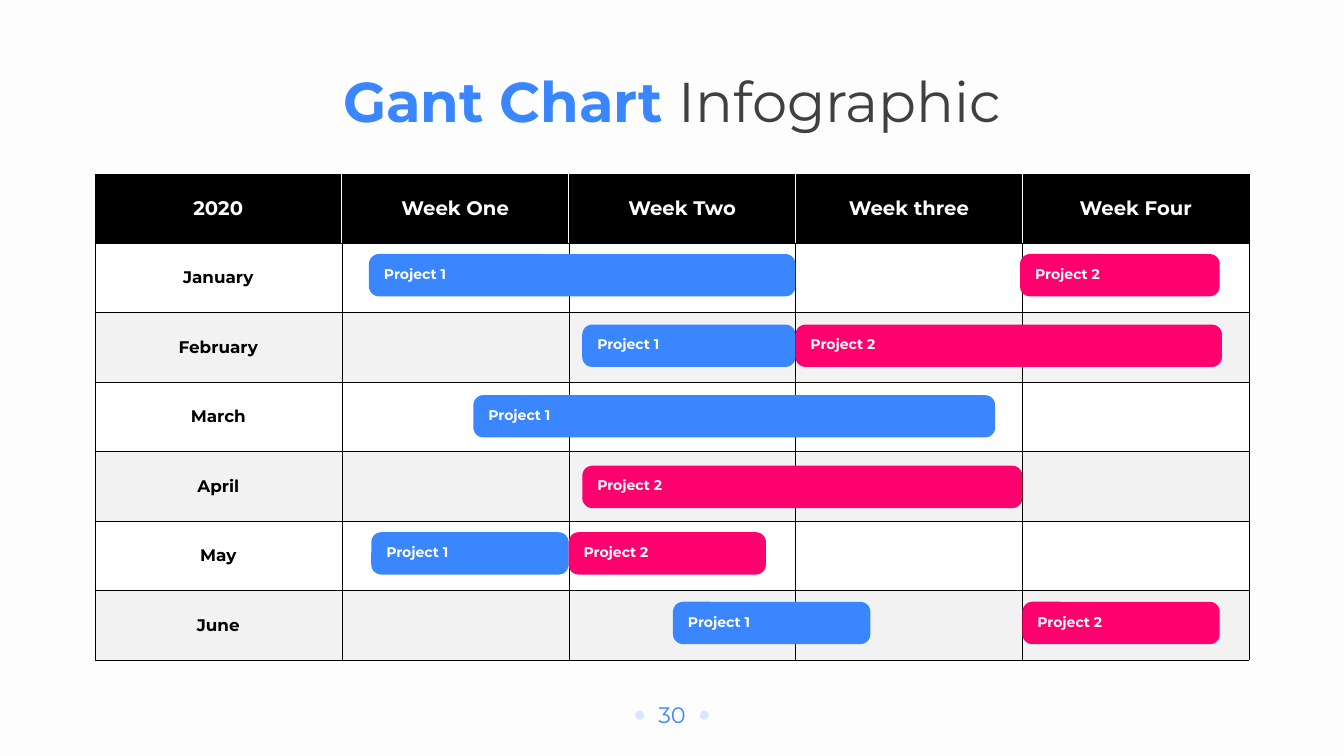
from lxml.etree import SubElement
from pptx import Presentation
from pptx.dml.color import RGBColor
from pptx.enum.shapes import MSO_SHAPE
from pptx.enum.text import MSO_ANCHOR, MSO_AUTO_SIZE, PP_ALIGN
from pptx.oxml.ns import qn
from pptx.util import Inches, Pt

FONT = "Montserrat"
BLACK, WHITE, GREY = "000000", "FFFFFF", "F2F2F2"
BLUE, PINK, PALE, DARK = "3A86FF", "FF006E", "D8E7FF", "404040"

WIDTH, HEIGHT = 13.33, 7.5
LEFT, TOP = 0.94, 1.73
MONTH_W, WEEK_W = 2.45, 2.25
HEAD_H, ROW_H, BAR_H = 0.68, 0.69, 0.42

HEADS = ["2020", "Week One", "Week Two", "Week three", "Week Four"]
ONE, TWO = ("Project 1", BLUE), ("Project 2", PINK)
# Month, drop of its bars below the row's top, bars as (project, start, length) in weeks
PLAN = [
    ("January", 0.11, [(ONE, 0.12, 1.88), (TWO, 2.99, 0.88)]),
    ("February", 0.12, [(ONE, 1.06, 0.94), (TWO, 2, 1.88)]),
    ("March", 0.13, [(ONE, 0.58, 2.3)]),
    ("April", 0.14, [(TWO, 1.06, 1.94)]),
    ("May", 0.11, [(ONE, 0.13, 0.87), (TWO, 1, 0.87)]),
    ("June", 0.11, [(ONE, 1.46, 0.87), (TWO, 3, 0.87)]),
]


def color(code):
    return RGBColor.from_string(code)


def place(shape, x, y, w, h):
    shape.left, shape.top = Inches(x), Inches(y)
    shape.width, shape.height = Inches(w), Inches(h)


def style(font, size, code, bold=False):
    font.name, font.size, font.bold = FONT, Pt(size), bold
    font.color.rgb = color(code)


def add_form(slide, kind, x, y, w, h, code):
    """Add a flat preset shape with no outline."""
    form = slide.shapes.add_shape(kind, Inches(x), Inches(y), Inches(w), Inches(h))
    form.shadow.inherit = False
    form.fill.solid()
    form.fill.fore_color.rgb = color(code)
    form.line.fill.background()
    return form


def add_title(slide):
    title = slide.shapes.title
    place(title, (WIDTH - 6.83) / 2, 0.61, 6.83, 0.77)
    frame = title.text_frame
    frame.auto_size = MSO_AUTO_SIZE.NONE
    frame.word_wrap = True
    frame.vertical_anchor = MSO_ANCHOR.MIDDLE
    line = frame.paragraphs[0]
    line.alignment = PP_ALIGN.CENTER
    for text, code, bold in [("Gant Chart ", BLUE, True), ("Infographic", DARK, False)]:
        run = line.add_run()
        run.text = text
        style(run.font, 40, code, bold)


def add_edge(cell, side, code, width):
    edge = SubElement(cell._tc.get_or_add_tcPr(), qn(f"a:ln{side}"), w=str(Pt(width)))
    fill = SubElement(edge, qn("a:solidFill"))
    SubElement(fill, qn("a:srgbClr"), val=code)


def fill_cell(cell, text, size, ink, paper, white=""):
    """Format a cell; the sides named in white get white edges."""
    for side in "LRTB":
        add_edge(cell, side, *((WHITE, 1) if side in white else (BLACK, 0.25)))
    cell.fill.solid()
    cell.fill.fore_color.rgb = color(paper)
    cell.vertical_anchor = MSO_ANCHOR.MIDDLE
    cell.text = text
    line = cell.text_frame.paragraphs[0]
    line.alignment = PP_ALIGN.CENTER
    style(line.font, size, ink, True)


def add_grid(slide):
    rows, cols = len(PLAN) + 1, len(HEADS)
    wide = MONTH_W + WEEK_W * (cols - 1)
    high = HEAD_H + ROW_H * len(PLAN)
    grid = slide.shapes.add_table(
        rows, cols, Inches(LEFT), Inches(TOP), Inches(wide), Inches(high)).table
    for c, head in enumerate(HEADS):
        grid.columns[c].width = Inches(WEEK_W if c else MONTH_W)
        white = ("L" if c else "") + ("R" if c < cols - 1 else "")
        fill_cell(grid.cell(0, c), head, 14, WHITE, BLACK, white)
    grid.rows[0].height = Inches(HEAD_H)
    for r, (month, _, _) in enumerate(PLAN, 1):
        grid.rows[r].height = Inches(ROW_H)
        for c in range(cols):
            fill_cell(grid.cell(r, c), "" if c else month, 12, BLACK,
                      WHITE if r % 2 else GREY)


def add_bar(slide, project, start, length, y):
    name, code = project
    x = LEFT + MONTH_W + start * WEEK_W
    bar = add_form(slide, MSO_SHAPE.ROUNDED_RECTANGLE, x, y, length * WEEK_W, BAR_H, code)
    bar.adjustments[0] = 0.236
    frame = bar.text_frame
    frame.margin_left = Inches(0.12)
    frame.margin_top, frame.margin_bottom = 0, Inches(0.03)
    frame.vertical_anchor = MSO_ANCHOR.MIDDLE
    line = frame.paragraphs[0]
    line.text = name
    line.alignment = PP_ALIGN.LEFT
    style(line.font, 10, WHITE, True)


def add_page(slide, number):
    """Add the page number between two dots."""
    mid = WIDTH / 2
    box = slide.shapes.add_textbox(
        Inches(mid - 0.31), Inches(6.91), Inches(0.62), Inches(0.37))
    box.text_frame.word_wrap = True
    line = box.text_frame.paragraphs[0]
    line.text = number
    line.alignment = PP_ALIGN.CENTER
    style(line.font, 16, BLUE)
    for shift in (-0.32, 0.32):
        add_form(slide, MSO_SHAPE.OVAL, mid + shift - 0.045, 7.05, 0.09, 0.09, PALE)


def main():
    deck = Presentation()
    deck.slide_width, deck.slide_height = Inches(WIDTH), Inches(HEIGHT)
    slide = deck.slides.add_slide(deck.slide_layouts[5])
    slide.background.fill.solid()
    slide.background.fill.fore_color.rgb = color("FDFDFD")
    add_title(slide)
    add_page(slide, "30")
    add_grid(slide)
    for r, (_, drop, bars) in enumerate(PLAN):
        for project, start, length in bars:
            add_bar(slide, project, start, length, TOP + HEAD_H + r * ROW_H + drop)
    deck.save("out.pptx")


if __name__ == "__main__":
    main()
